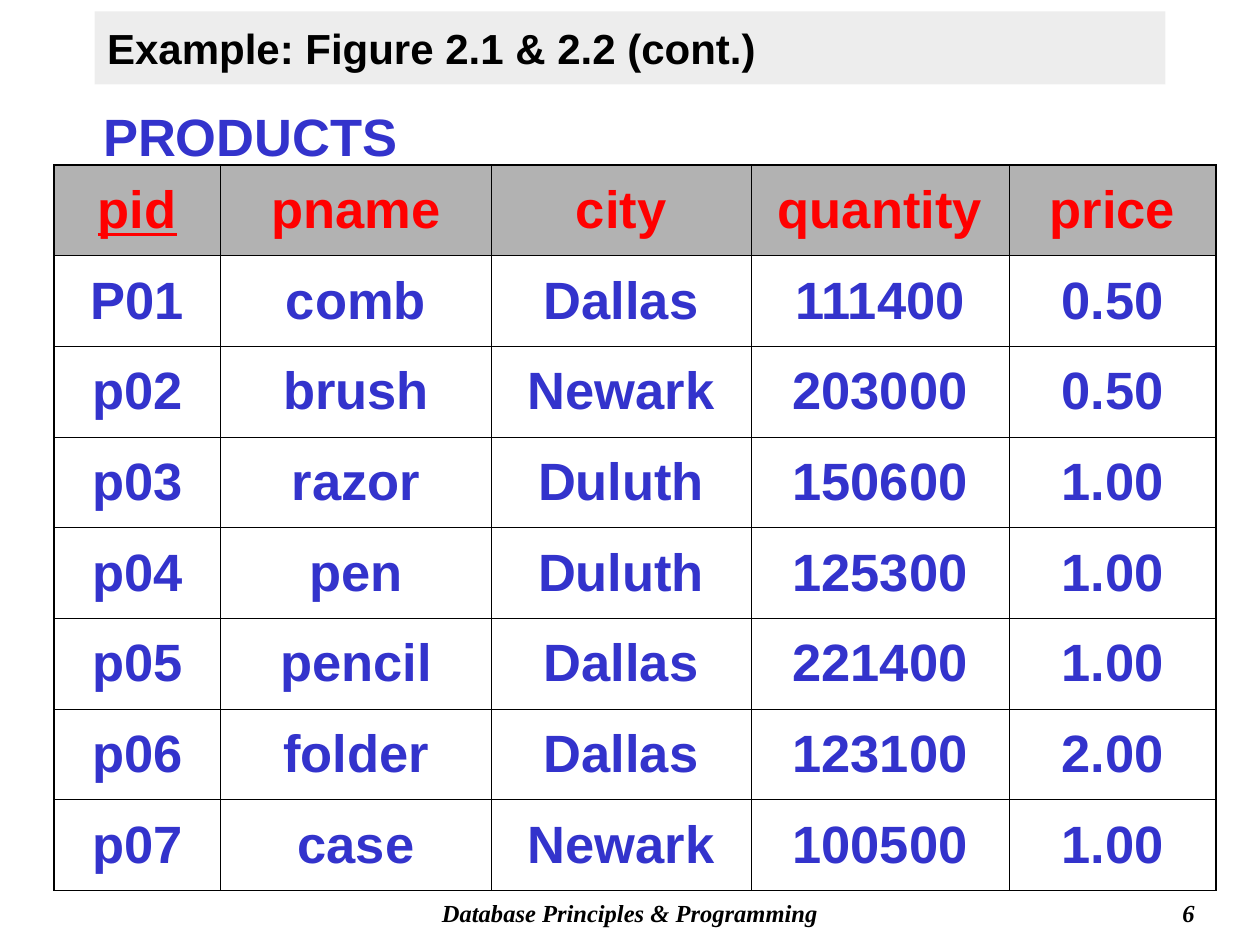
from dataclasses import dataclass

from lxml.etree import SubElement
from pptx import Presentation
from pptx.dml.color import RGBColor
from pptx.enum.text import MSO_ANCHOR, MSO_AUTO_SIZE, PP_ALIGN
from pptx.oxml import parse_xml
from pptx.oxml.ns import nsdecls, qn
from pptx.util import Inches, Pt

SLIDE_W, SLIDE_H = 10, 7.5


@dataclass(frozen=True)
class Theme:
    ink: str = "000000"
    blue: str = "3333CC"
    red: str = "FF0000"
    header_fill: str = "B2B2B2"
    title_fill: str = "DDDDDD"
    title_opacity: int = 50
    sans: str = "Arial"
    serif: str = "Times New Roman"
    title_size: int = 24
    table_size: int = 30
    footer_size: int = 14
    outer_line: float = 1.08
    inner_line: float = 0.45


THEME = Theme()


@dataclass(frozen=True)
class Box:
    left: float
    top: float
    width: float
    height: float

    def emu(self) -> tuple:
        return tuple(Inches(v) for v in (self.left, self.top, self.width, self.height))


@dataclass(frozen=True)
class Label:
    text: str
    box: Box
    align: PP_ALIGN
    font: dict
    wrap: bool = True


FOOTER_FONT = {"name": THEME.serif, "size": Pt(THEME.footer_size), "bold": True, "italic": True}
TABLE_FONT = {"name": THEME.sans, "size": Pt(THEME.table_size), "bold": True}
TITLE_FONT = {"name": THEME.sans, "size": Pt(THEME.title_size), "bold": True}

FOOTER_TOP, FOOTER_H = 7.08, 0.33
FOOTER_W = 4.33
LABELS = [
    (Label("Database Principles & Programming",
           Box((SLIDE_W - FOOTER_W) / 2, FOOTER_TOP, FOOTER_W, FOOTER_H),
           PP_ALIGN.CENTER, FOOTER_FONT), THEME.ink),
    (Label("6", Box(7.5, FOOTER_TOP, 2.08, FOOTER_H), PP_ALIGN.RIGHT, FOOTER_FONT), THEME.ink),
    (Label("PRODUCTS", Box(0.72, 0.78, 2.62, 0.6), PP_ALIGN.LEFT, TABLE_FONT, False), THEME.blue),
]

TITLE_BOX = Box(0.75, 0.09, SLIDE_W - 2 * 0.75, 0.58)
COLUMN_WIDTHS = [1.32, 2.15, 2.06, 2.05, 1.64]
ROW_HEIGHT = 0.72
PRODUCTS = [
    ("pid", "pname", "city", "quantity", "price"),
    ("P01", "comb", "Dallas", "111400", "0.50"),
    ("p02", "brush", "Newark", "203000", "0.50"),
    ("p03", "razor", "Duluth", "150600", "1.00"),
    ("p04", "pen", "Duluth", "125300", "1.00"),
    ("p05", "pencil", "Dallas", "221400", "1.00"),
    ("p06", "folder", "Dallas", "123100", "2.00"),
    ("p07", "case", "Newark", "100500", "1.00"),
]
TABLE_BOX = Box(0.43, 1.31, sum(COLUMN_WIDTHS), ROW_HEIGHT * len(PRODUCTS))


def write(tf, text: str, align: PP_ALIGN, font: dict, color: str) -> None:
    p = tf.paragraphs[0]
    p.alignment = align
    p.space_before = Pt(0)
    r = p.add_run()
    r.text = text
    for name, value in font.items():
        setattr(r.font, name, value)
    r.font.color.rgb = RGBColor.from_string(color)


def add_label(s, label: Label, color: str) -> None:
    tf = s.shapes.add_textbox(*label.box.emu()).text_frame
    tf.word_wrap = label.wrap
    write(tf, label.text, label.align, label.font, color)


def format_title(s) -> None:
    sp = s.shapes.title
    sp.left, sp.top, sp.width, sp.height = TITLE_BOX.emu()
    sp.fill.solid()
    sp.fill.fore_color.rgb = RGBColor.from_string(THEME.title_fill)
    srgb = sp._element.spPr.find(".//" + qn("a:srgbClr"))
    SubElement(srgb, qn("a:alpha"), val=str(THEME.title_opacity * 1000))
    tf = sp.text_frame
    tf.auto_size = MSO_AUTO_SIZE.NONE
    tf.vertical_anchor = MSO_ANCHOR.MIDDLE
    write(tf, "Example: Figure 2.1 & 2.2 (cont.)", PP_ALIGN.LEFT, TITLE_FONT, THEME.ink)


def set_borders(cell, outer: dict) -> None:
    """Draw the four sides; outer tells which of L, R, T, B lie on the table's edge."""
    tc_pr = cell._tc.get_or_add_tcPr()
    for i, (side, is_outer) in enumerate(outer.items()):
        width = Pt(THEME.outer_line if is_outer else THEME.inner_line)
        tc_pr.insert(i, parse_xml(
            f'<a:ln{side} {nsdecls("a")} w="{width}"><a:solidFill>'
            f'<a:srgbClr val="{THEME.ink}"/></a:solidFill></a:ln{side}>'))


def add_products_table(s) -> None:
    n_rows, n_cols = len(PRODUCTS), len(COLUMN_WIDTHS)
    table = s.shapes.add_table(n_rows, n_cols, *TABLE_BOX.emu()).table
    table.first_row = table.horz_banding = False
    for column, width in zip(table.columns, COLUMN_WIDTHS):
        column.width = Inches(width)
    for row, values in enumerate(PRODUCTS):
        table.rows[row].height = Inches(ROW_HEIGHT)
        is_header = row == 0
        for col, value in enumerate(values):
            cell = table.cell(row, col)
            cell.vertical_anchor = MSO_ANCHOR.MIDDLE
            if is_header:
                cell.fill.solid()
                cell.fill.fore_color.rgb = RGBColor.from_string(THEME.header_fill)
            else:
                cell.fill.background()
            is_key = is_header and col == 0
            write(cell.text_frame, value, PP_ALIGN.CENTER, TABLE_FONT | {"underline": is_key},
                  THEME.red if is_header else THEME.blue)
            set_borders(cell, {"L": col == 0, "R": col == n_cols - 1,
                               "T": is_header, "B": row == n_rows - 1})


def main() -> None:
    prs = Presentation()
    prs.slide_width, prs.slide_height = Inches(SLIDE_W), Inches(SLIDE_H)
    s = prs.slides.add_slide(prs.slide_layouts.get_by_name("Title Only"))
    format_title(s)
    add_products_table(s)
    for label, color in LABELS:
        add_label(s, label, color)
    prs.save("out.pptx")


if __name__ == "__main__":
    main()
